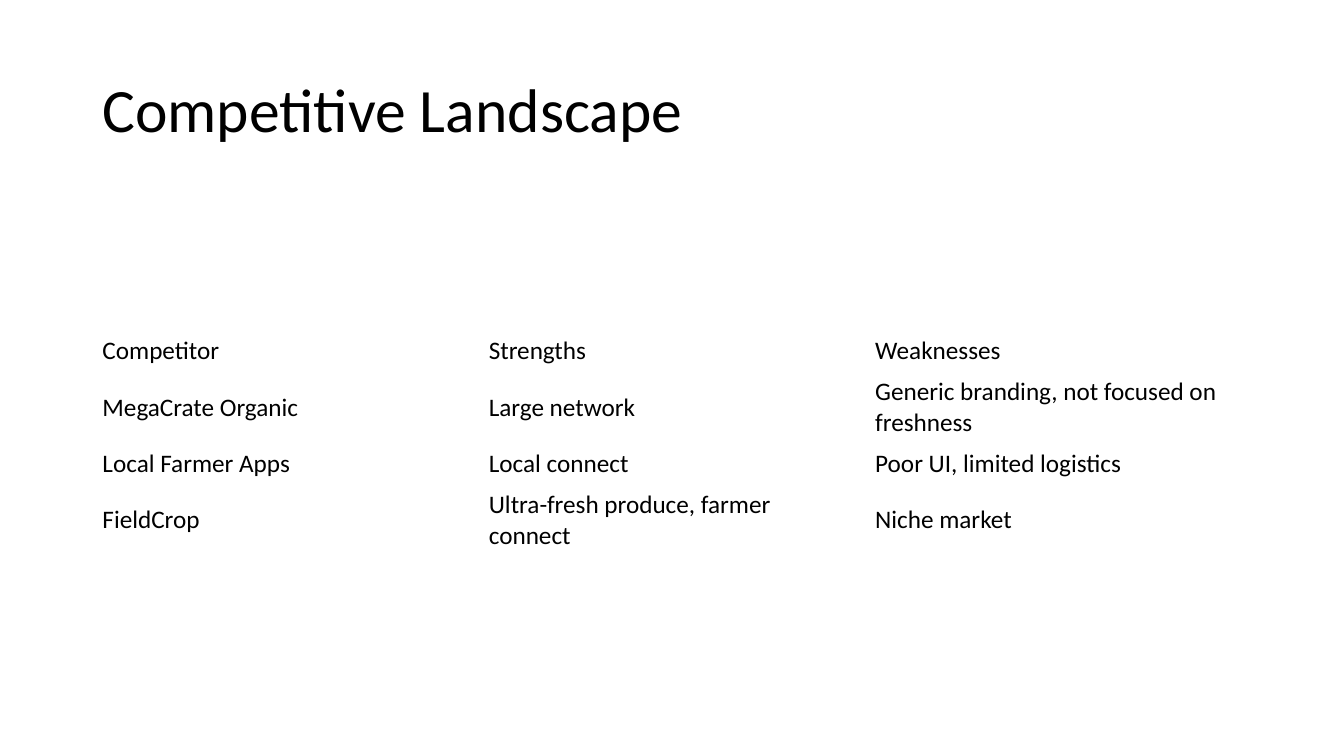
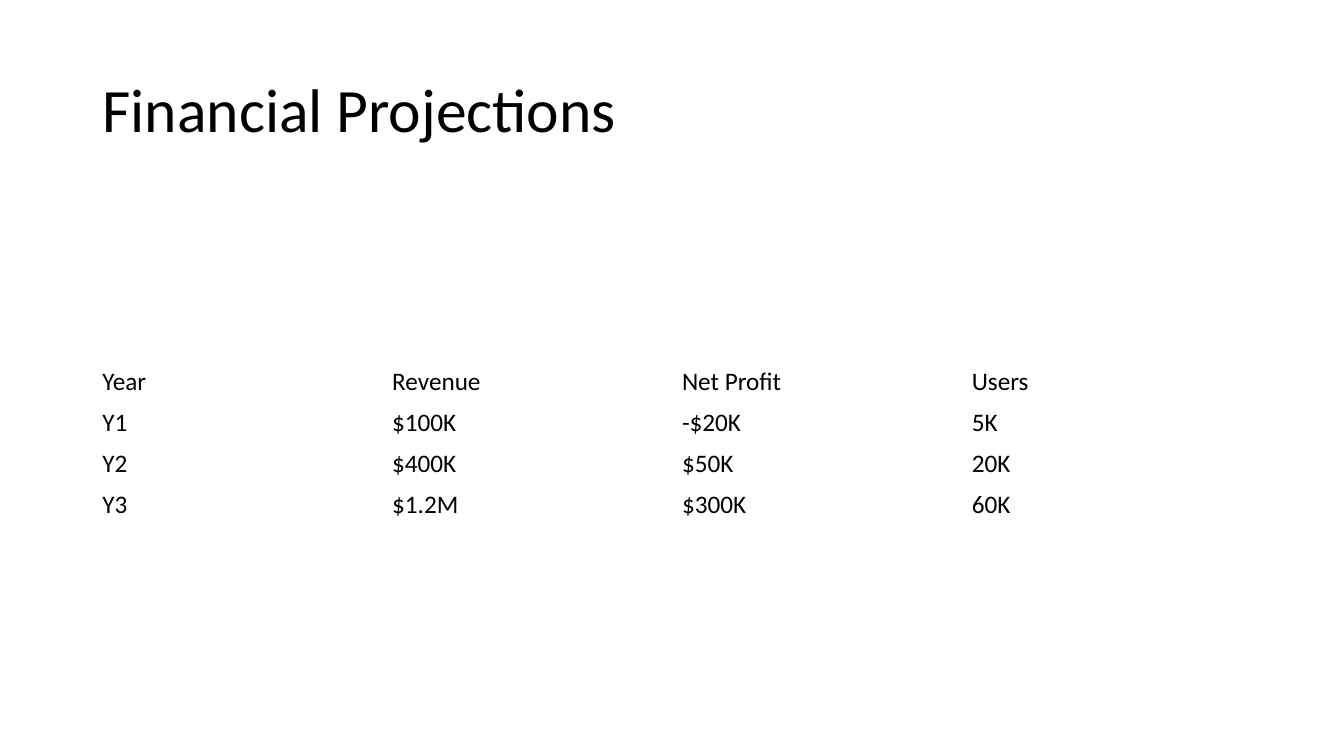
from pptx import Presentation
from pptx.dml.color import RGBColor
from pptx.enum.text import MSO_ANCHOR as Anchor, MSO_AUTO_SIZE as AutoSize, PP_ALIGN as Align
from pptx.util import Emu, Pt

PX = 9525  # EMU per px, at 96 px to the inch
TITLE_ONLY = 5


def px(length):
    return Emu(length * PX)


def color(hex_code):
    return RGBColor.from_string(hex_code)


def write(frame, text, *, size, font, ink, spacing=None):
    """Put one left-aligned paragraph in a text frame."""
    frame.text = text
    paragraph = frame.paragraphs[0]
    paragraph.alignment = Align.LEFT
    if spacing:
        paragraph.line_spacing = spacing
    paragraph.font.size = Pt(size)
    paragraph.font.name = font
    paragraph.font.color.rgb = color(ink)


class Deck:
    FONT, INK = "Calibri", "000000"
    LEFT, WIDTH = 88, 1104
    TITLE_TOP, TITLE_HEIGHT, TITLE_SIZE = 38, 139, 44
    ROW_HEIGHT, TALL_ROW_HEIGHT, CELL_SIZE = 39, 68, 18

    def __init__(self):
        self.presentation = Presentation()
        self.presentation.slide_width = px(1280)
        self.presentation.slide_height = px(720)
        self.slide = None

    def add_slide(self, heading):
        layout = self.presentation.slide_layouts[TITLE_ONLY]
        self.slide = self.presentation.slides.add_slide(layout)
        title = self.slide.shapes.title
        title.left, title.top = px(self.LEFT), px(self.TITLE_TOP)
        title.width, title.height = px(self.WIDTH), px(self.TITLE_HEIGHT)
        frame = title.text_frame
        frame.auto_size = AutoSize.NONE
        frame.vertical_anchor = Anchor.MIDDLE
        write(frame, heading, size=self.TITLE_SIZE, font=self.FONT,
              ink=self.INK, spacing=0.9)

    def add_table(self, records, top, tall_rows=()):
        """Draw a plain table with equal columns; tall rows hold two lines."""
        heights = [self.TALL_ROW_HEIGHT if index in tall_rows else self.ROW_HEIGHT
                   for index in range(len(records))]
        columns = len(records[0])
        table = self.slide.shapes.add_table(
            len(records), columns, px(self.LEFT), px(top),
            px(self.WIDTH), px(sum(heights))).table
        table.first_row = table.horz_banding = False
        for column in table.columns:
            column.width = px(self.WIDTH // columns)
        for row, height, record in zip(table.rows, heights, records):
            row.height = px(height)
            for cell, text in zip(row.cells, record):
                cell.fill.background()
                cell.vertical_anchor = Anchor.MIDDLE
                write(cell.text_frame, text, size=self.CELL_SIZE,
                      font=self.FONT, ink=self.INK)

    def save(self):
        self.presentation.save("out.pptx")


def main():
    deck = Deck()

    # Competitors
    deck.add_slide("Competitive Landscape")
    deck.add_table([
        ("Competitor", "Strengths", "Weaknesses"),
        ("MegaCrate Organic", "Large network", "Generic branding, not focused on freshness"),
        ("Local Farmer Apps", "Local connect", "Poor UI, limited logistics"),
        ("FieldCrop", "Ultra-fresh produce, farmer connect", "Niche market"),
    ], top=315, tall_rows=(1, 3))

    # Three-year finances
    deck.add_slide("Financial Projections")
    deck.add_table([
        ("Year", "Revenue", "Net Profit", "Users"),
        ("Y1", "$100K", "-$20K", "5K"),
        ("Y2", "$400K", "$50K", "20K"),
        ("Y3", "$1.2M", "$300K", "60K"),
    ], top=344)

    deck.save()


if __name__ == "__main__":
    main()
